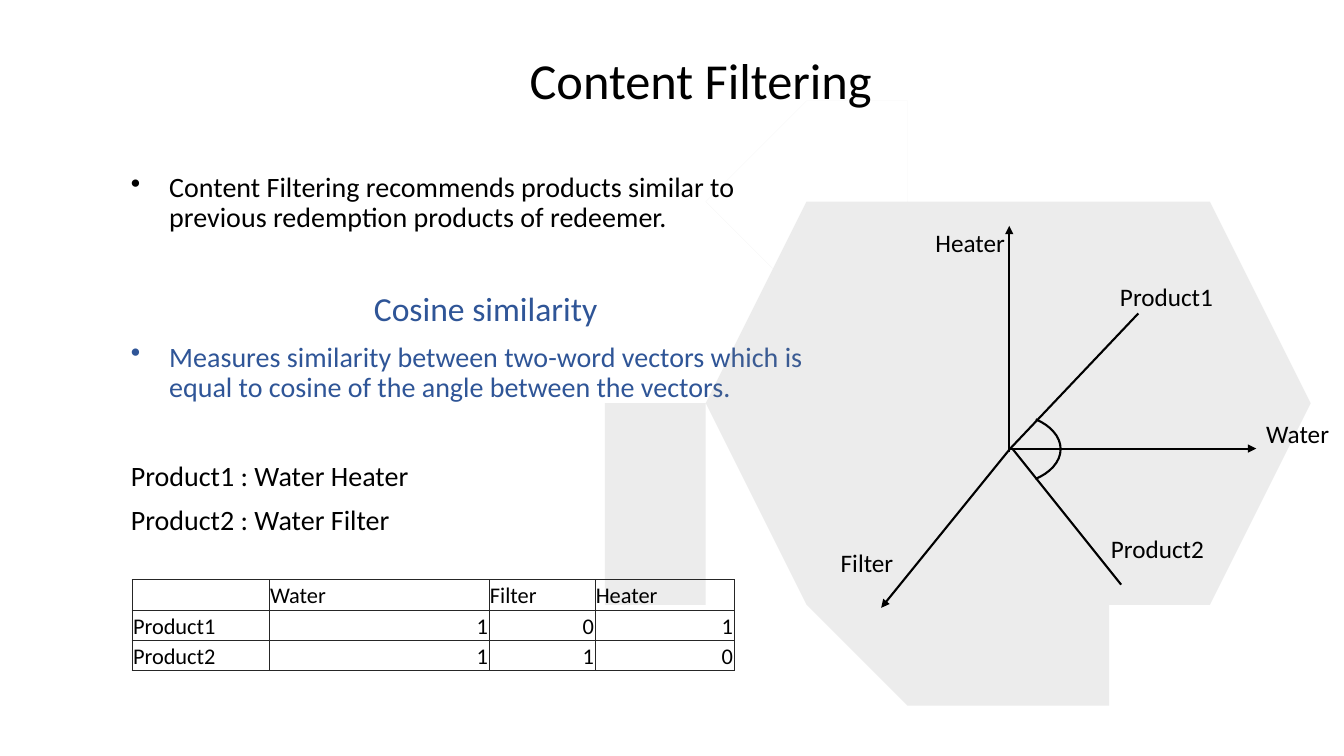
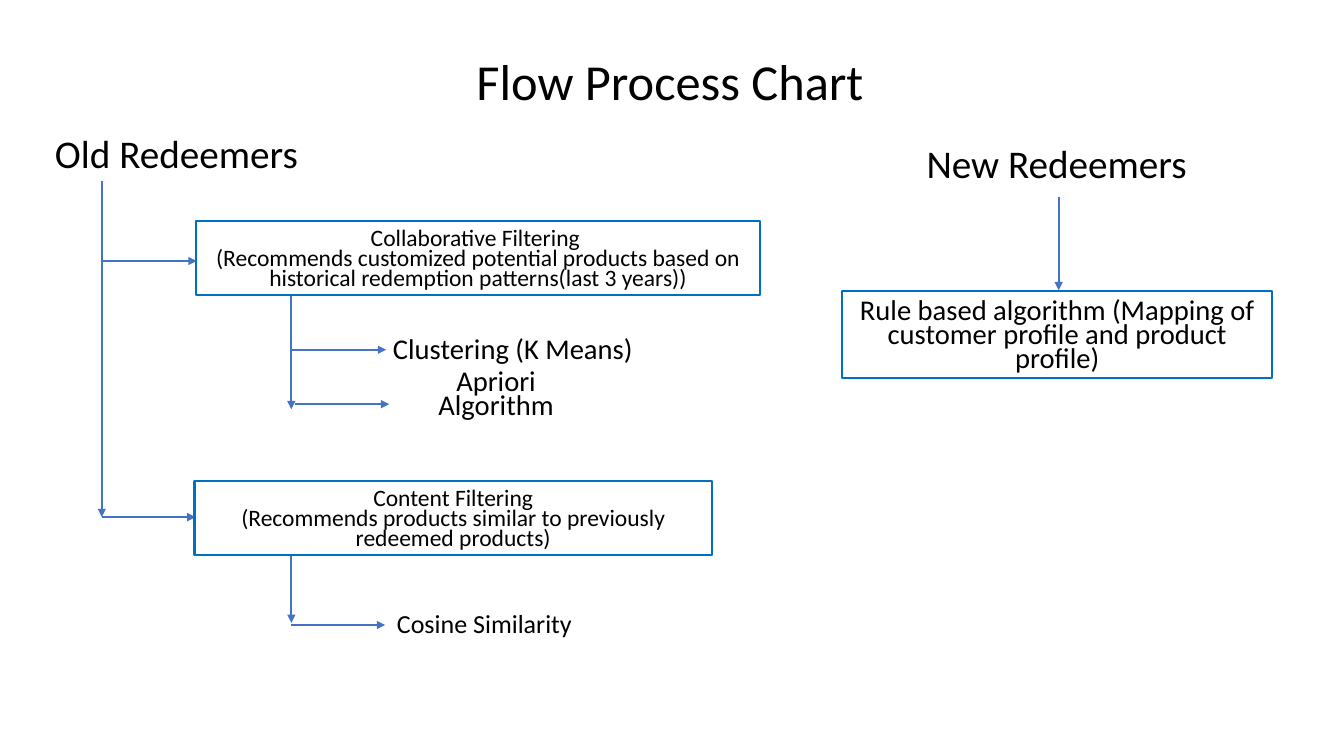
import math
from pptx import Presentation
from pptx.dml.color import RGBColor
from pptx.enum.shapes import MSO_CONNECTOR, MSO_SHAPE
from pptx.enum.text import MSO_ANCHOR, PP_ALIGN
from pptx.oxml.ns import qn
from pptx.util import Inches, Pt
from lxml import etree

FONT = "Calibri"
BLACK, BLUE, BOX_BLUE, HEADING_BLUE = "000000", "4472C4", "0070C0", "2F5597"
GRAY, BORDER = "808080", "262626"
LEFT, CENTER, RIGHT = PP_ALIGN.LEFT, PP_ALIGN.CENTER, PP_ALIGN.RIGHT
TOP, BOTTOM = MSO_ANCHOR.TOP, MSO_ANCHOR.BOTTOM
TITLE_SIZE = 36
rgb = RGBColor.from_string


def add_text(page, at, lines, size, align=LEFT, anchor=TOP, spacing=1.0, outline=None):
    place = [Inches(length) for length in at]
    if outline:
        box = page.shapes.add_shape(MSO_SHAPE.RECTANGLE, *place)
        box.shadow.inherit = False
        box.fill.background()
        box.line.color.rgb = rgb(outline)
        box.line.width = Pt(1.5)
    else:
        box = page.shapes.add_textbox(*place)
    frame = box.text_frame
    frame.word_wrap = True
    frame.vertical_anchor = anchor
    frame.text = "\n".join(lines)
    for para in frame.paragraphs:
        para.alignment = align
        para.line_spacing = spacing
        para.font.name = FONT
        para.font.size = Pt(size)
        para.font.color.rgb = rgb(BLACK)
    return frame


def add_line(page, ends, color, arrow=True):
    line = page.shapes.add_connector(MSO_CONNECTOR.STRAIGHT, *[Inches(length) for length in ends])
    line.line.color.rgb = rgb(color)
    line.line.width = Pt(1.5)
    if arrow:
        etree.SubElement(line.line._get_or_add_ln(), qn("a:tailEnd"), type="triangle")
    etree.SubElement(line._element.spPr, qn("a:effectLst"))


deck = Presentation()
deck.slide_width, deck.slide_height = Inches(13.33), Inches(7.5)
blank = deck.slide_layouts[6]

# Content filtering: title and body
page = deck.slides.add_slide(blank)
add_text(page, (3.43, 0.49, 7.04, 0.65), ["Content Filtering"], TITLE_SIZE, CENTER, BOTTOM, 0.9)

# text, size, colour, space before, left indent, bullet
body = [
    ("Content Filtering recommends products similar to previous redemption products of redeemer.",
     20, BLACK, 10, 0.38, True),
    ("Cosine similarity", 24, HEADING_BLUE, 42, 2.41, False),
    ("Measures similarity between two-word vectors which is equal to cosine of the angle "
     "between the vectors.", 20, HEADING_BLUE, 10, 0.38, True),
    ("Product1 : Water Heater", 20, BLACK, 42, 0, False),
    ("Product2 : Water Filter", 20, BLACK, 10, 0, False),
]
frame = add_text(page, (1.2, 1.67, 7.04, 5.51), [row[0] for row in body], 20, spacing=0.9)
for para, (text, size, color, before, indent, bullet) in zip(frame.paragraphs, body):
    para.font.size = Pt(size)
    para.font.color.rgb = rgb(color)
    para.space_before = Pt(before)
    properties = para._p.get_or_add_pPr()
    properties.set("marL", str(Inches(indent)))
    if bullet:
        properties.set("indent", str(-Inches(indent)))
        mark = etree.Element(qn("a:buChar"), char="•")
        properties.find(qn("a:defRPr")).addprevious(mark)

# Rounded hexagons; overlapping areas cancel out
# centre x, centre y, radius, corner cut
hexagons = [(6.72, 4.96, 0.7, 0.07), (9.95, 4.06, 2.9, 0.25),
            (8.25, 1.98, 1.21, 0.1), (8.25, 1.98, 1.07, 0.09)]
builder = None
for center_x, center_y, radius, cut in hexagons:
    corners = [(center_x + radius * math.cos(math.radians(60 * turn)),
                center_y + radius * math.sin(math.radians(60 * turn))) for turn in range(6)]
    outline = []
    for index, corner in enumerate(corners):
        before, after = corners[index - 1], corners[(index + 1) % 6]
        share = cut / radius
        for step in range(9):
            t = step / 8
            outline.append(tuple(
                c + share * ((1 - t) ** 2 * (b - c) + t ** 2 * (a - c))
                for b, c, a in zip(before, corner, after)))
    if builder is None:
        builder = page.shapes.build_freeform(*outline[0], scale=Inches(1))
    else:
        builder.move_to(*outline[0])
    builder.add_line_segments(outline[1:], close=True)
backdrop = builder.convert_to_shape()
backdrop.shadow.inherit = False
backdrop.line.fill.background()
backdrop.fill.solid()
backdrop.fill.fore_color.rgb = rgb(GRAY)
tint = backdrop._element.spPr.find(qn("a:solidFill"))[0]
etree.SubElement(tint, qn("a:alpha"), val="15000")

# Product vectors table
rows = [("", "Water ", "Filter", "Heater"),
        ("Product1", "1", "0", "1"),
        ("Product2", "1", "1", "0")]
table = page.shapes.add_table(3, 4, Inches(1.31), Inches(5.75), Inches(5.97), Inches(0.9)).table
table.first_row = table.horz_banding = False
for column, width in zip(table.columns, (1.36, 2.18, 1.05, 1.38)):
    column.width = Inches(width)
for row_index, row in enumerate(rows):
    table.rows[row_index].height = Inches(0.3)
    for column_index, text in enumerate(row):
        cell = table.cell(row_index, column_index)
        cell.text = text
        cell.vertical_anchor = BOTTOM
        cell.margin_left = cell.margin_right = cell.margin_top = Inches(0.01)
        cell.margin_bottom = 0
        para = cell.text_frame.paragraphs[0]
        para.alignment = RIGHT if text.isdigit() else LEFT
        para.font.name = FONT
        para.font.size = Pt(16)
        para.font.color.rgb = rgb(BLACK)
        for side in ("a:lnL", "a:lnR", "a:lnT", "a:lnB"):
            edge = etree.SubElement(cell._tc.get_or_add_tcPr(), qn(side), w=str(Pt(0.5)))
            paint = etree.SubElement(edge, qn("a:solidFill"))
            etree.SubElement(paint, qn("a:srgbClr"), val=BORDER)
        cell.fill.background()

# Vector diagram
for axis in [(10.02, 4.45, 12.46, 4.45), (10.01, 4.48, 10.01, 2.24), (10.02, 4.45, 8.74, 6.03)]:
    add_line(page, axis, BLACK)
for vector in [(10.02, 4.45, 11.29, 3.11), (10.04, 4.45, 11.12, 5.8)]:
    add_line(page, vector, BLACK, arrow=False)
for label, left, top, width in [("Water", 12.46, 4.1, 0.97), ("Filter", 8.24, 5.38, 0.97),
                                ("Heater", 9.18, 2.21, 0.97), ("Product1", 11.01, 2.74, 1.21),
                                ("Product2", 10.92, 5.24, 1.21)]:
    add_text(page, (left, top, width, 0.4), [label], 18)
angle = page.shapes.add_shape(MSO_SHAPE.ARC, Inches(9.41), Inches(4.1), Inches(1.11), Inches(0.71))
angle.adjustments[0], angle.adjustments[1] = 189.76, 26.5
angle.shadow.inherit = False
angle.fill.background()
angle.line.color.rgb = rgb(BLACK)
angle.line.width = Pt(1.5)

# Flow process chart: title and headings
page = deck.slides.add_slide(blank)
add_text(page, (4.25, 0.45, 4.79, 0.71), ["Flow Process Chart"], TITLE_SIZE, CENTER)
add_text(page, (-0.03, 1.01, 3.56, 0.8), ["Old Redeemers"], 28, CENTER, BOTTOM, 0.9)
add_text(page, (7.98, 0.89, 5, 1.01), ["New Redeemers"], 28, CENTER, BOTTOM, 0.9)

# Arrows
for arrow in [
    (1.01, 1.8, 1.01, 5.13), (1.01, 2.59, 1.95, 2.59), (1.01, 5.13, 1.94, 5.13),
    (2.89, 2.92, 2.89, 4.06), (2.89, 3.47, 3.83, 3.47), (2.93, 4.01, 3.86, 4.01),
    (2.89, 5.5, 2.89, 6.18), (2.89, 6.2, 3.82, 6.2), (10.5, 1.95, 10.5, 2.88),
]:
    add_line(page, arrow, BLUE)

# Steps: place, lines, size, outline
steps = [
    ((1.94, 2.19, 5.6, 0.74),
     ["Collaborative Filtering ", "(Recommends customized potential products based on "
      "historical redemption patterns(last 3 years))"], 16.8, BOX_BLUE),
    ((3.79, 3.3, 2.59, 0.36), ["Clustering (K Means)"], 20.4, None),
    ((3.83, 3.86, 2.18, 0.36), ["Apriori Algorithm"], 20.4, None),
    ((1.93, 4.77, 5.13, 0.74),
     ["Content Filtering", "(Recommends products similar to previously redeemed products)"],
     16.8, BOX_BLUE),
    ((3.8, 6.02, 2.01, 0.36), ["Cosine Similarity"], 18.6, None),
    ((8.35, 2.89, 4.27, 0.86),
     ["Rule based algorithm (Mapping of customer profile and product profile)"], 20.4, BOX_BLUE),
]
for at, lines, size, outline in steps:
    add_text(page, at, lines, size, CENTER, BOTTOM, 0.7, outline)

deck.save("out.pptx")
